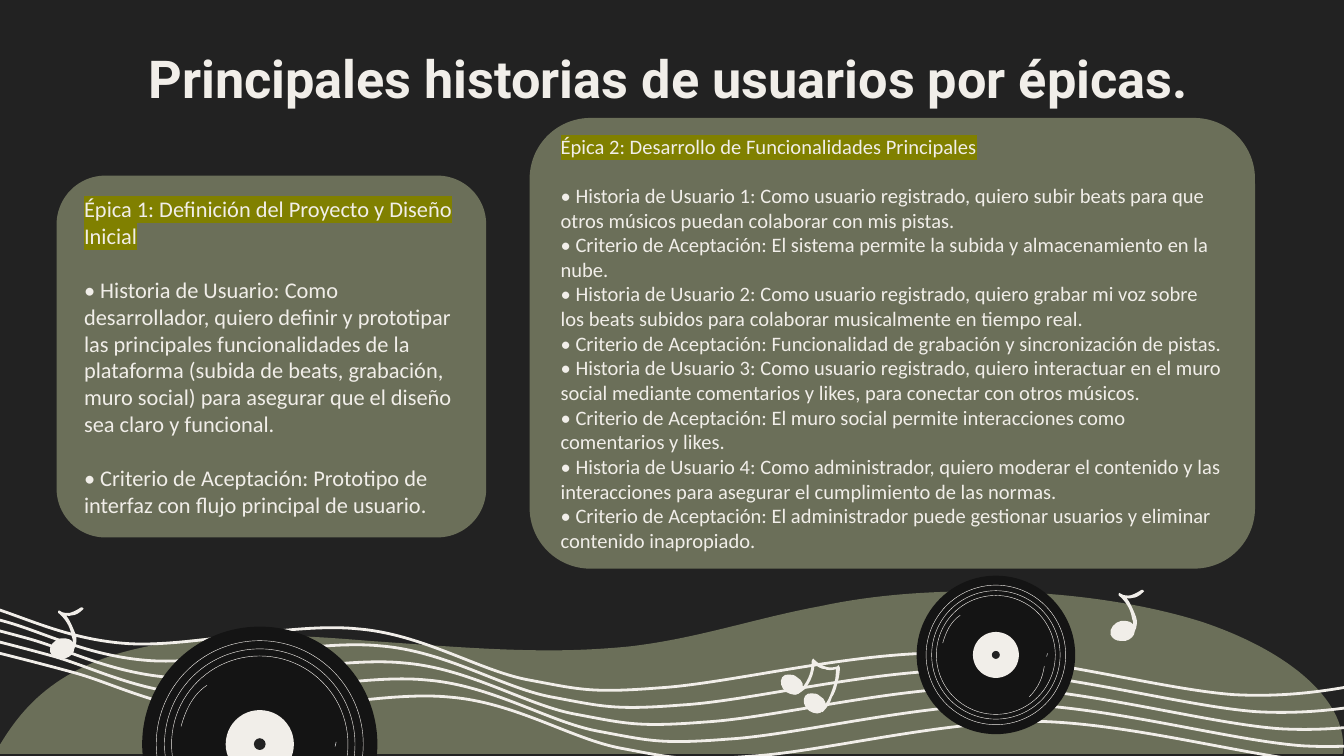
from lxml.etree import SubElement
from pptx import Presentation
from pptx.dml.color import RGBColor
from pptx.enum.shapes import MSO_SHAPE as Shape
from pptx.enum.text import MSO_ANCHOR as Anchor, MSO_AUTO_SIZE as AutoSize, PP_ALIGN as Align
from pptx.oxml.ns import qn
from pptx.util import Cm, Pt

NIGHT = RGBColor(0x22, 0x22, 0x22)
VINYL = RGBColor(0x14, 0x14, 0x14)
MOSS = RGBColor(0x6B, 0x6F, 0x59)
IVORY = RGBColor(0xF1, 0xEE, 0xE9)
WHITE = RGBColor(0xFF, 0xFF, 0xFF)
OLIVE = "808000"
INSET = Cm(0.25)
UNIT = Cm(0.0254)

HILL = [(999, 561), (1004, 524, 963, 486, 895, 463), (848, 448, 788, 440, 729, 440),
        (688, 440, 648, 443, 611, 451), (562, 460, 520, 475, 469, 481),
        (449, 483, 429, 484, 409, 484), (365, 484, 319, 480, 275, 477),
        (251, 475, 225, 473, 199, 473), (159, 473, 119, 477, 86, 487),
        (33, 504, 12, 533, -4, 561)]
STAVE = [(-78, 433), (-67, 436, -42, 442, -13, 450), (16, 458, 49, 476, 95, 479),
         (142, 482, 216, 463, 266, 468), (315, 472, 356, 499, 393, 506),
         (431, 513, 439, 516, 490, 512), (541, 509, 630, 486, 701, 486),
         (772, 487, 863, 513, 918, 517), (974, 520, 1014, 508, 1033, 506)]
QUAVER = [(61, 452), (60, 452), (57, 454, 55, 455, 52, 456), (50, 456.5, 46, 456, 45, 455),
          (44, 454, 43, 454, 43, 455), (42.5, 455, 42.5, 456, 43, 456),
          (48, 460, 52, 466, 53, 473), (54, 475, 54, 477, 54, 478),
          (53, 476, 50, 475, 47, 475), (46, 475, 45, 475, 45, 475),
          (40, 476, 36, 481, 37, 485), (38, 488, 41, 490, 45, 490),
          (46, 490, 47, 490, 48, 490), (52, 489, 55, 486, 55, 483),
          (57, 479, 57, 475, 56, 472), (54, 467, 52, 462, 49, 458),
          (50, 459, 52, 458, 53, 458), (56, 458, 59, 456, 61, 454), (62, 453)]
BEAM = [(605, 490), (604, 492), (604, 497, 603, 503, 599, 509), (598, 511, 597, 512, 595, 513),
        (594, 514, 592, 514, 590, 514), (589, 515), (589, 516),
        (590, 516, 591, 517, 592, 517), (593, 517, 595, 516, 596, 515),
        (598, 514, 600, 512, 601, 510), (604, 505, 606, 500, 606, 494),
        (608, 496, 611, 498, 614, 498), (615, 499, 620, 499, 622, 498),
        (622, 500, 622, 504, 621, 508), (619, 514, 617, 522, 611, 528),
        (611, 529), (612, 530), (613, 529), (615, 527, 618, 523, 619, 519),
        (621, 516, 622, 513, 623, 509), (625, 502, 625, 497, 625, 497), (624, 495), (623, 496),
        (620, 497, 616, 497, 614, 496), (611, 495, 608, 493, 606, 491)]
NOTE_HEAD = [(587, 502), (585, 502, 583, 502, 582, 504), (580, 507, 581, 512, 585, 515),
             (587, 516, 589, 517, 591, 517), (593, 517, 595, 516, 596, 514),
             (599, 511, 597, 506, 593, 504), (591, 502, 589, 502, 587, 502)]
GLINT = [(-0.45, -0.5), (-0.57, -0.42, -0.63, -0.29, -0.67, -0.15)]
LOWER_GLINT = [(0.42, 0.53), (0.53, 0.42, 0.59, 0.29, 0.61, 0.14)]
TICK = [(0.64, 0.02), (0.64, 0.01, 0.65, 0, 0.65, -0.02)]

EPIC_ONE = [
    "Épica 1: Definición del Proyecto y Diseño Inicial",
    "• Historia de Usuario: Como desarrollador, quiero definir y prototipar las principales funcionalidades de la plataforma (subida de beats, grabación, muro social) para asegurar que el diseño sea claro y funcional.",
    "• Criterio de Aceptación: Prototipo de interfaz con flujo principal de usuario.",
]
EPIC_TWO = [
    "Épica 2: Desarrollo de Funcionalidades Principales",
    "• Historia de Usuario 1: Como usuario registrado, quiero subir beats para que otros músicos puedan colaborar con mis pistas.",
    "• Criterio de Aceptación: El sistema permite la subida y almacenamiento en la nube.",
    "• Historia de Usuario 2: Como usuario registrado, quiero grabar mi voz sobre los beats subidos para colaborar musicalmente en tiempo real.",
    "• Criterio de Aceptación: Funcionalidad de grabación y sincronización de pistas.",
    "• Historia de Usuario 3: Como usuario registrado, quiero interactuar en el muro social mediante comentarios y likes, para conectar con otros músicos.",
    "• Criterio de Aceptación: El muro social permite interacciones como comentarios y likes.",
    "• Historia de Usuario 4: Como administrador, quiero moderar el contenido y las interacciones para asegurar el cumplimiento de las normas.",
    "• Criterio de Aceptación: El administrador puede gestionar usuarios y eliminar contenido inapropiado.",
]


class Painter:
    def __init__(self, page):
        self.page = page
        page.background.fill.solid()
        page.background.fill.fore_color.rgb = NIGHT

    def finish(self, shape, fill=None, line=None, width=0.22):
        shape.shadow.inherit = False
        if fill is None:
            shape.fill.background()
        else:
            shape.fill.solid()
            shape.fill.fore_color.rgb = fill
        if line is None:
            shape.line.fill.background()
        else:
            shape.line.color.rgb = line
            shape.line.width = Pt(width)

    def curve(self, outline, dx=0, dy=0, size=1, **style):
        points = [((x * size + dx) * UNIT, (y * size + dy) * UNIT)
                  for step in outline for x, y in zip(step[::2], step[1::2])]
        builder = self.page.shapes.build_freeform(*points[0], scale=1.0)
        builder.add_line_segments(points[1:], close="fill" in style)
        shape = builder.convert_to_shape()
        segments = iter(list(shape._element.iter(qn("a:lnTo"))))
        for step in outline[1:]:
            segment = next(segments)
            if len(step) == 6:
                segment.tag = qn("a:cubicBezTo")
                for extra in (next(segments), next(segments)):
                    segment.append(extra[0])
                    extra.getparent().remove(extra)
        self.finish(shape, **style)

    def circle(self, x, y, radius, **style):
        left, top, side = (round(v * UNIT) for v in (x - radius, y - radius, 2 * radius))
        self.finish(self.page.shapes.add_shape(Shape.OVAL, left, top, side, side), **style)

    def record(self, x, y, radius, glints):
        self.circle(x, y, radius, fill=VINYL)
        self.circle(x, y, radius * 0.29, fill=IVORY)
        self.circle(x, y, radius * 0.05, fill=NIGHT)
        for ratio in (0.24, 0.75, 0.81, 0.88):
            self.circle(x, y, radius * ratio, line=IVORY)
        for glint in glints:
            self.curve(glint, x, y, radius, line=IVORY)
        self.curve(TICK, x, y, radius, line=WHITE)

    def set_insets(self, frame):
        frame.margin_top = frame.margin_bottom = INSET
        frame.word_wrap = True
        frame.auto_size = AutoSize.NONE

    def set_font(self, para, name, size, bold=False):
        para.font.name = name
        para.font.size = Pt(size)
        para.font.bold = bold
        para.font.color.rgb = IVORY

    def title(self, text, left, top, width, height):
        box = self.page.shapes.title
        box.left, box.top, box.width, box.height = Cm(left), Cm(top), Cm(width), Cm(height)
        frame = box.text_frame
        frame.text = text
        self.set_insets(frame)
        frame.vertical_anchor = Anchor.TOP
        para = frame.paragraphs[0]
        para.alignment = Align.CENTER
        para.line_spacing = 1.15
        self.set_font(para, "Roboto", 28, True)

    def epic(self, texts, left, top, width, height, size, gap, gap_rows):
        box = self.page.shapes.add_shape(Shape.ROUNDED_RECTANGLE,
                                         Cm(left), Cm(top), Cm(width), Cm(height))
        box.adjustments[0] = 0.135
        self.finish(box, fill=MOSS)
        frame = box.text_frame
        self.set_insets(frame)
        frame.vertical_anchor = Anchor.MIDDLE
        for index, text in enumerate(texts):
            para = frame.paragraphs[0] if index == 0 else frame.add_paragraph()
            span = para.add_run()
            span.text = text
            para.alignment = Align.LEFT
            self.set_font(para, "Calibri", size)
            if index == 0:
                highlight = SubElement(span.font._element, qn("a:highlight"))
                SubElement(highlight, qn("a:srgbClr"), val=OLIVE)
            if index in gap_rows:
                para.space_before = Pt(gap)


def main():
    deck = Presentation()
    deck.slide_width, deck.slide_height = Cm(25.4), Cm(14.29)
    painter = Painter(deck.slides.add_slide(deck.slide_layouts[5]))
    painter.curve(HILL, fill=MOSS)
    for row in range(5):
        painter.curve(STAVE, row * 17.2, row * 12.7, line=IVORY, width=1.5)
    painter.record(193.3, 553.8, 87.5, [GLINT])
    painter.title("Principales historias de usuarios por épicas.", 0.38, 0.44, 24.49, 1.45)
    painter.curve(QUAVER, 789.3, -13, fill=IVORY)
    painter.curve(BEAM, fill=IVORY)
    for step in range(2):
        painter.curve(NOTE_HEAD, step * 17, step * 14, fill=IVORY)
    painter.curve(QUAVER, 0.3, fill=IVORY)
    painter.record(741, 487.4, 59, [GLINT, LOWER_GLINT])
    painter.epic(EPIC_ONE, 1.07, 3.32, 8.12, 6.84, 12, 14.6, (1, 2))
    painter.epic(EPIC_TWO, 10.01, 2.23, 13.71, 8.52, 11, 13, (1,))
    deck.save("out.pptx")


if __name__ == "__main__":
    main()
